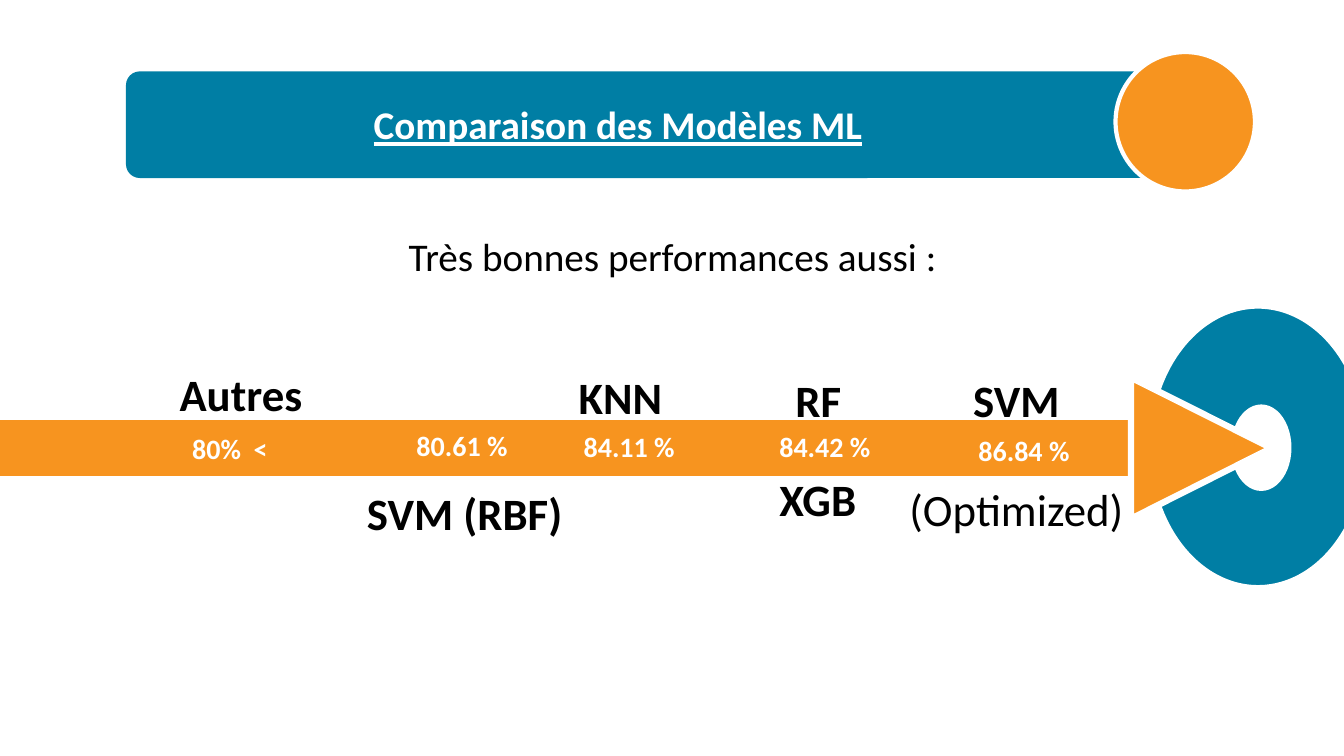
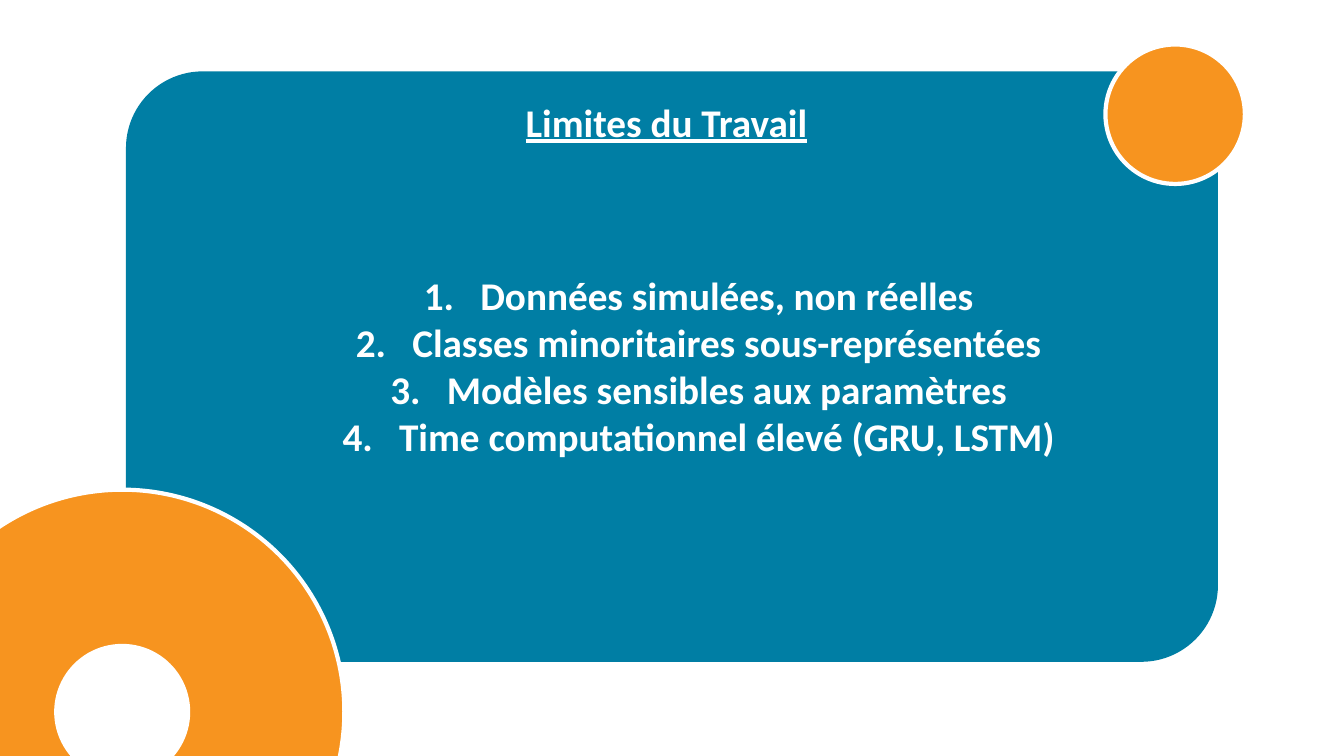
from pptx import Presentation
from pptx.dml.color import RGBColor
from pptx.enum.shapes import MSO_SHAPE as Preset
from pptx.enum.text import PP_ALIGN as Align
from pptx.oxml.ns import qn
from pptx.util import Inches, Pt
from lxml.etree import SubElement

COLUMNS, ROWS = 160, 90
BLUE, ORANGE, WHITE, BLACK = "007EA4", "F7941F", "FFFFFF", "000000"
STYLES = {
    "title": {"size": Pt(28), "bold": True, "underline": True, "color": WHITE},
    "lead": {"size": Pt(28), "color": BLACK},
    "list": {"size": Pt(28), "bold": True, "color": WHITE},
    "label": {"size": Pt(32), "bold": True, "color": BLACK},
    "detail": {"size": Pt(32), "color": BLACK},
    "score": {"size": Pt(20), "bold": True, "color": WHITE},
}


def rgb(value):
    return RGBColor.from_string(value)


class Deck:
    """Holds the shared style and the current slide, laid out on a 160 by 90 grid."""

    def __init__(self):
        self.presentation = Presentation()
        self.presentation.slide_width = Inches(13.33)
        self.presentation.slide_height = Inches(7.5)
        self.column = self.presentation.slide_width / COLUMNS
        self.row = self.presentation.slide_height / ROWS
        self.slide = None

    def new_slide(self):
        self.slide = self.presentation.slides.add_slide(self.presentation.slide_layouts[6])

    def place(self, left, top, width, height):
        return [int(value * unit) for value, unit in
                zip((left, top, width, height), (self.column, self.row) * 2)]

    def shape(self, preset, box, fill, outline=None, rotation=0):
        shape = self.slide.shapes.add_shape(preset, *self.place(*box))
        shape.shadow.inherit = False
        shape.rotation = rotation
        shape.fill.solid()
        shape.fill.fore_color.rgb = rgb(fill)
        if outline:
            shape.line.color.rgb = rgb(WHITE)
            shape.line.width = Pt(outline)
        else:
            shape.line.fill.background()
        return shape

    def ellipse(self, box, fill):
        self.shape(Preset.OVAL, box, fill, outline=3)

    def circle(self, left, top, diameter, fill):
        self.ellipse((left, top, diameter, diameter), fill)

    def panel(self, height):
        panel = self.shape(Preset.ROUNDED_RECTANGLE, (15, 8.5, 130, height), BLUE)
        panel.adjustments[0] = 0.13

    def text(self, lines, box, style, align=Align.LEFT, numbered=False):
        frame = self.slide.shapes.add_textbox(*self.place(*box)).text_frame
        frame.word_wrap = True
        for index, line in enumerate(lines):
            paragraph = frame.add_paragraph() if index else frame.paragraphs[0]
            paragraph.alignment = align
            if numbered:
                self.number(paragraph)
            run = paragraph.add_run()
            run.text = line
            run.font.name = "Calibri"
            for name, value in STYLES[style].items():
                if name == "color":
                    run.font.color.rgb = rgb(value)
                else:
                    setattr(run.font, name, value)

    def number(self, paragraph):
        properties = paragraph._p.get_or_add_pPr()
        indent = Inches(0.56)
        properties.set("marL", str(indent))
        properties.set("indent", str(-indent))
        SubElement(properties, qn("a:buFont"), typeface="+mj-lt")
        SubElement(properties, qn("a:buAutoNum"), type="arabicPeriod")

    def title(self, line, left, top, width):
        self.text([line], (left, top, width, 6.8), "title")

    def arrow(self):
        self.shape(Preset.RECTANGLE, (-4.4, 49.6, 140.2, 7.4), ORANGE, outline=4.5)
        self.shape(Preset.ISOSCELES_TRIANGLE, (134.6, 45, 16.8, 16.7), ORANGE,
                   outline=4.5, rotation=90)


def comparison(deck):
    deck.new_slide()
    deck.panel(12.7)
    deck.ellipse((136.8, 36.5, 25.9, 33.4), BLUE)
    deck.circle(132.8, 6.2, 16.6, ORANGE)
    deck.title("Comparaison des Modèles ML", 43.3, 11.4, 64)
    deck.ellipse((146.8, 48.4, 6.7, 9.8), WHITE)
    deck.text(["Très bonnes performances aussi :"], (31.7, 27.1, 96.7, 6.8), "lead", Align.CENTER)
    deck.arrow()
    for model, left, top, width in (
        ("Autres", 20.2, 43.1, 19), ("SVM (RBF)", 42.5, 57.2, 29.5), ("KNN", 67.7, 43.4, 14),
        ("RF", 93.5, 43.8, 9), ("XGB", 91.6, 55.6, 14),
    ):
        deck.text([model], (left, top, width, 7.7), "label")
    for name, top, style in (("SVM", 43.8, "label"), ("(Optimized)", 56.7, "detail")):
        deck.text([name], (98.5, top, 45, 7.7), style, Align.CENTER)
    for score, left, top in (
        ("80%  <", 21.7, 50.8), ("80.61 %", 48.4, 50.4), ("84.11 %", 68.3, 50.6),
        ("84.42 %", 91.6, 50.6), ("86.84 %", 115.3, 51),
    ):
        deck.text([score], (left, top, 14, 5.3), "score")


def limits(deck):
    deck.new_slide()
    deck.panel(70.3)
    deck.circle(-11.9, 58.3, 52.9, ORANGE)
    deck.circle(131.6, 5.3, 16.6, ORANGE)
    deck.title("Limites du Travail", 61.4, 11.1, 37)
    deck.circle(6.7, 76.9, 15.7, WHITE)
    deck.text([
        "Données simulées, non réelles",
        "Classes minoritaires sous-représentées",
        "Modèles sensibles aux paramètres",
        "Time computationnel élevé (GRU, LSTM)",
    ], (34.8, 31.7, 96.7, 23.9), "list", Align.CENTER, numbered=True)


def main():
    deck = Deck()
    comparison(deck)
    limits(deck)
    deck.presentation.save("out.pptx")


if __name__ == "__main__":
    main()
